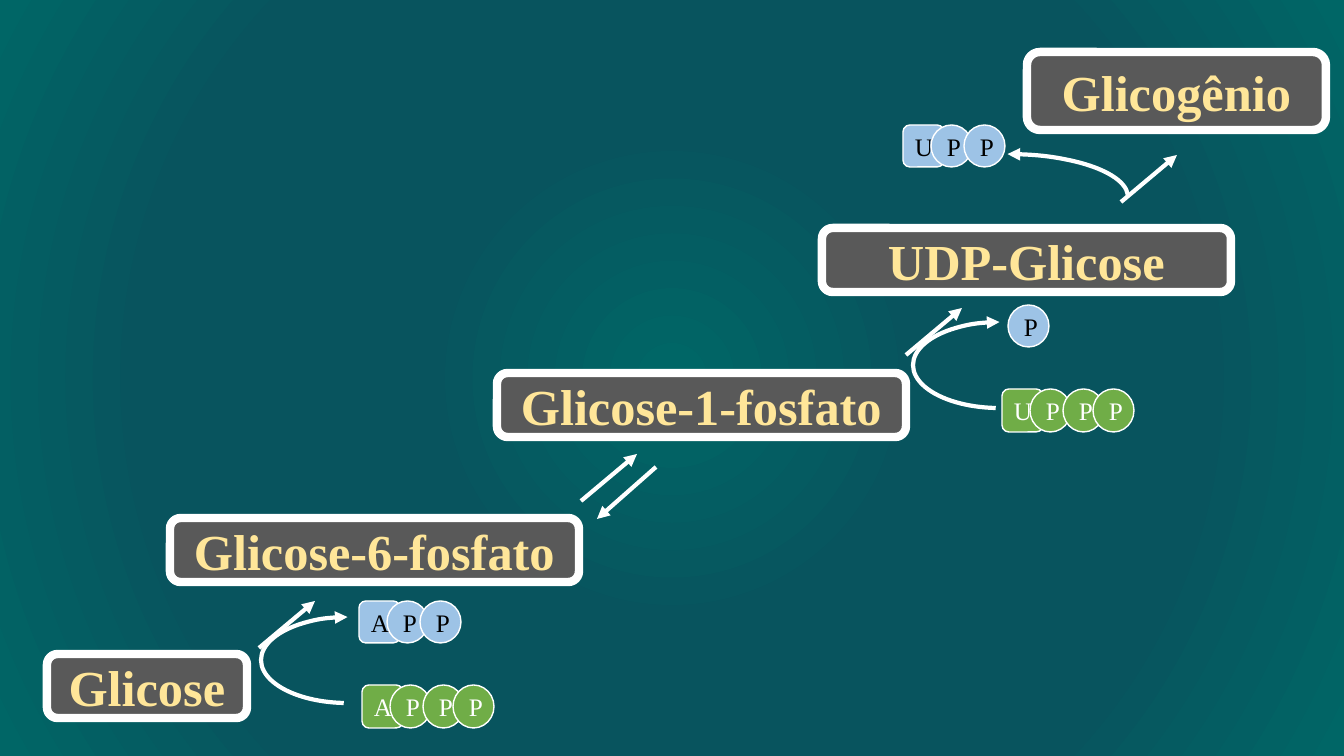
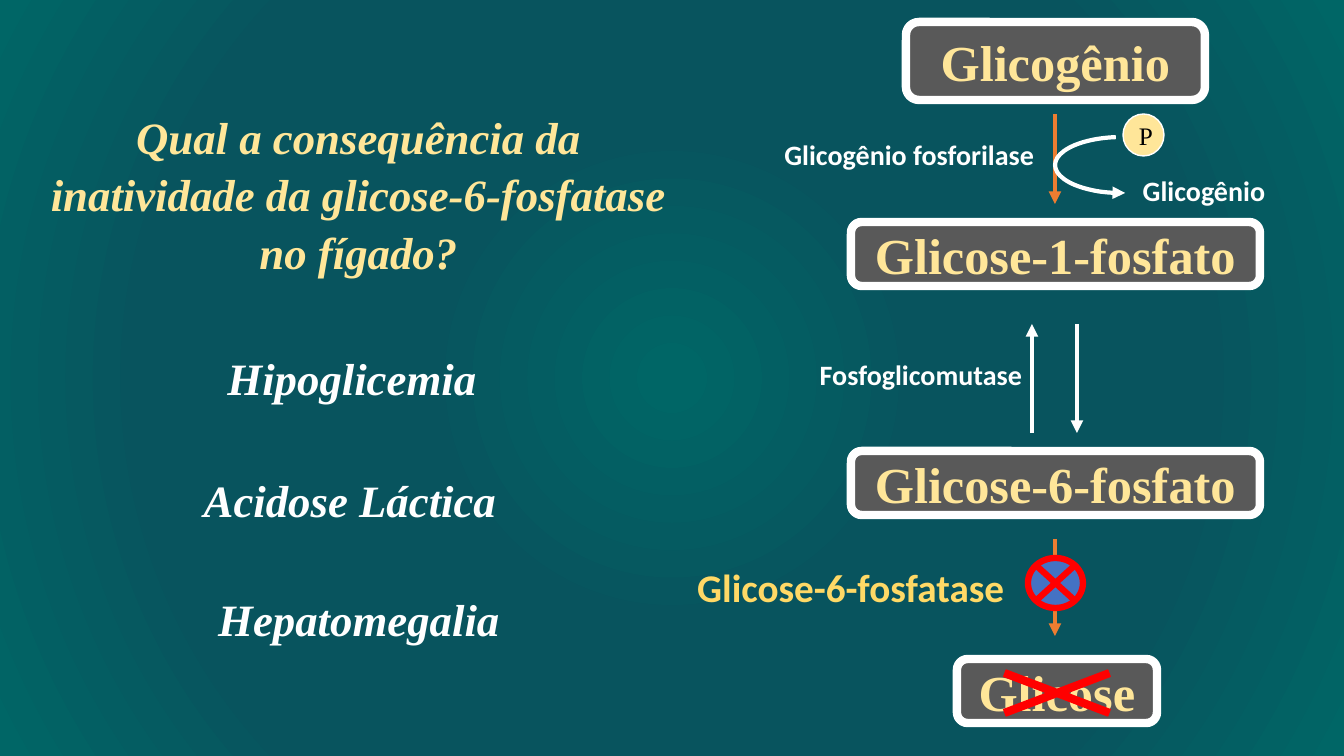
"""Build two slides on how glycogen is made and broken down."""
from dataclasses import dataclass

from lxml import etree
from pptx import Presentation
from pptx.dml.color import RGBColor
from pptx.enum.shapes import MSO_CONNECTOR, MSO_SHAPE
from pptx.enum.text import MSO_ANCHOR, MSO_AUTO_SIZE, PP_ALIGN
from pptx.oxml.ns import qn
from pptx.util import Emu, Pt

ROUND, OVAL, ARC = MSO_SHAPE.ROUNDED_RECTANGLE, MSO_SHAPE.OVAL, MSO_SHAPE.ARC
CROSS, BLOCK = MSO_SHAPE.MATH_MULTIPLY, MSO_SHAPE.FLOWCHART_SUMMING_JUNCTION
STRAIGHT = MSO_CONNECTOR.STRAIGHT
MIDDLE, GROW = MSO_ANCHOR.MIDDLE, MSO_AUTO_SIZE.SHAPE_TO_FIT_TEXT
CENTER, RIGHT = PP_ALIGN.CENTER, PP_ALIGN.RIGHT

SCALE = 12192000 / 1344
SERIF, SANS = "Times New Roman", "Calibri"
COLORS = {
    "teal": "006666", "deep": "08545E", "gray": "595959", "white": "FFFFFF",
    "black": "000000", "cream": "FFE699", "gold": "FFD966", "green": "70AD47",
    "sky": "9DC3E6", "orange": "ED7D31", "blue": "4472C4", "red": "FF0000",
}
STOPS = ((1, "teal"), (33, "deep"), (68, "deep"), (100, "teal"))
STEPS = (0, 28, 61, 91)


@dataclass(frozen=True)
class Rect:
    """A place in pixels."""
    x: int
    y: int
    w: int
    h: int


@dataclass(frozen=True)
class Style:
    """A text style."""
    size: int
    color: str
    face: str = SERIF
    bold: bool = True
    slant: bool = False


@dataclass(frozen=True)
class Sugar:
    """A framed name of a compound."""
    text: str
    x: int
    y: int
    w: int = 409
    h: int = 64


@dataclass(frozen=True)
class Chain:
    """Overlapping tokens, one for each letter."""
    text: str
    x: int
    y: int
    fill: str = "sky"
    ink: str = "black"
    h: int = 42


@dataclass(frozen=True)
class Arrow:
    """A straight arrow with its end relative to its start."""
    x: int
    y: int
    dx: int
    dy: int
    color: str = "white"


@dataclass(frozen=True)
class Curve:
    """A curved arrow."""
    rect: Rect
    start: float
    end: float
    flips: tuple = ()


@dataclass(frozen=True)
class Label:
    """A free text."""
    text: str
    rect: Rect
    style: Style
    align: PP_ALIGN = RIGHT
    loose: bool = False


NAME = Style(36, "cream")
NOTE = Style(20, "white", SANS)
ASK = Style(32, "cream", slant=True)
REPLY = Style(32, "white", slant=True)

MAKE = (
    Sugar("Glicose", 47, 654, 200),
    Sugar("Glicose-6-fosfato", 170, 518),
    Sugar("Glicose-1-fosfato", 497, 373),
    Sugar("UDP-Glicose", 822, 228),
    Sugar("Glicogênio", 1027, 52, 299, 78),
    *(Arrow(x, y, 56, -47) for x, y in
      ((259, 648), (581, 501), (906, 355), (1121, 202))),
    Arrow(656, 467, -59, 52),
    Chain("APPP", 362, 685, "green", "white", 43),
    Chain("APP", 359, 601),
    Curve(Rect(261, 617, 173, 86), 162, 50.98, ("flipV",)),
    Chain("UPPP", 1002, 389, "green", "white", 43),
    Chain("P", 1008, 305),
    Curve(Rect(913, 322, 173, 86), 162, 50.98, ("flipV",)),
    Chain("UPP", 903, 125),
    Curve(Rect(887, 154, 241, 86), 162, 215.43, ("flipH", "flipV")),
)
BREAK = (
    Sugar("Glicose", 957, 659, 200),
    Sugar("Glicose-6-fosfato", 851, 451),
    Sugar("Glicose-1-fosfato", 851, 222),
    Sugar("Glicogênio", 906, 22, 299, 78),
    Arrow(1032, 433, 0, -109),
    Arrow(1077, 324, 0, 109),
    Arrow(1055, 114, 0, 90, "orange"),
    Arrow(1055, 539, 0, 97, "orange"),
    Chain("P", 1123, 114, "cream"),
    Curve(Rect(1055, 137, 133, 56), 157.6, 47.06),
    Label("Glicogênio", Rect(1111, 169, 186, 44), NOTE, CENTER),
    Label("Glicogênio fosforilase", Rect(658, 133, 386, 44), NOTE),
    Label("Fosfoglicomutase", Rect(704, 353, 328, 44), NOTE),
    Label("Glicose-6-fosfatase", Rect(628, 558, 386, 57),
          Style(28, "gold", SANS)),
    Label("Qual a consequência da inatividade da glicose-6-fosfatase "
          "no fígado?", Rect(27, 101, 663, 181), ASK, CENTER, True),
    *(Label(text, Rect(x, y, 398, 66), REPLY, CENTER, True) for text, x, y in
      (("Hipoglicemia", 153, 342), ("Acidose Láctica", 151, 464),
       ("Hepatomegalia", 160, 583))),
)


def px(count: float) -> Emu:
    """Turn pixels into EMU."""
    return Emu(round(count * SCALE))


def rgb(name: str) -> RGBColor:
    """Look up a colour."""
    return RGBColor.from_string(COLORS[name])


def edges(rect: Rect) -> tuple:
    """Give a place in EMU."""
    return px(rect.x), px(rect.y), px(rect.w), px(rect.h)


def write(shape, text: str, style: Style, align=CENTER):
    """Put one styled paragraph into a shape."""
    frame = shape.text_frame
    frame.word_wrap = True
    para = frame.paragraphs[0]
    para.text = text
    para.alignment = align
    font = para.font
    font.size, font.name = Pt(style.size), style.face
    font.bold, font.italic = style.bold, style.slant
    font.color.rgb = rgb(style.color)
    return para


def stroke(shape, color: str, width: float) -> None:
    """Set the outline of a shape."""
    shape.line.color.rgb = rgb(color)
    shape.line.width = Pt(width)


def tip(shape, end: str) -> None:
    """Add a triangle to one end of a line."""
    line = shape.element.find(".//" + qn("a:ln"))
    etree.SubElement(line, qn("a:" + end), type="triangle")


def form(shapes, kind, rect: Rect, fill: str, color: str, width: float):
    """Draw a filled preset shape."""
    shape = shapes.add_shape(kind, *edges(rect))
    shape.shadow.inherit = False
    shape.fill.solid()
    shape.fill.fore_color.rgb = rgb(fill)
    stroke(shape, color, width)
    return shape


def draw_sugar(shapes, item: Sugar) -> None:
    """Draw a framed name."""
    rect = Rect(item.x, item.y, item.w, item.h)
    shape = form(shapes, ROUND, rect, "gray", "white", 6)
    shape.text_frame.vertical_anchor = MIDDLE
    write(shape, item.text, NAME)


def draw_chain(shapes, item: Chain) -> None:
    """Draw a row of tokens, grouped when there are several."""
    home = shapes.add_group_shape().shapes if len(item.text) > 1 else shapes
    for sign, step in zip(item.text, STEPS):
        kind = OVAL if sign == "P" else ROUND
        rect = Rect(item.x + step, item.y, 41, item.h)
        shape = form(home, kind, rect, item.fill, "white", 1)
        shape.text_frame.vertical_anchor = MIDDLE
        write(shape, sign, Style(18, item.ink, bold=False))


def draw_arrow(shapes, item: Arrow) -> None:
    """Draw a straight arrow."""
    line = shapes.add_connector(STRAIGHT, px(item.x), px(item.y),
                                px(item.x + item.dx), px(item.y + item.dy))
    stroke(line, item.color, 3)
    tip(line, "tailEnd")
    etree.SubElement(line.element.spPr, qn("a:effectLst"))


def draw_curve(shapes, item: Curve) -> None:
    """Draw a curved arrow."""
    shape = shapes.add_shape(ARC, *edges(item.rect))
    shape.shadow.inherit = False
    shape.fill.background()
    shape.adjustments[0], shape.adjustments[1] = item.start, item.end
    shape.rotation = 180
    for flip in item.flips:
        shape.element.spPr.find(qn("a:xfrm")).set(flip, "1")
    stroke(shape, "white", 3)
    tip(shape, "headEnd")


def draw_label(shapes, item: Label) -> None:
    """Draw a free text."""
    box = shapes.add_textbox(*edges(item.rect))
    para = write(box, item.text, item.style, item.align)
    box.text_frame.auto_size = GROW
    if item.loose:
        para.line_spacing = 1.07
        para.space_after = Pt(8)


def paint(master) -> None:
    """Give every slide the round teal gradient."""
    master.background.fill.gradient()
    grad = master.element.find(".//" + qn("a:gradFill"))
    grad.clear()
    stops = etree.SubElement(grad, qn("a:gsLst"))
    for place, name in STOPS:
        stop = etree.SubElement(stops, qn("a:gs"), pos=str(place * 1000))
        etree.SubElement(stop, qn("a:srgbClr"), val=COLORS[name])
    glow = etree.SubElement(grad, qn("a:path"), path="circle")
    etree.SubElement(glow, qn("a:fillToRect"), dict.fromkeys("ltrb", "50000"))


DRAW = {Sugar: draw_sugar, Chain: draw_chain, Arrow: draw_arrow,
        Curve: draw_curve, Label: draw_label}


def build(deck, items: tuple):
    """Add a slide with its items and return its shapes."""
    shapes = deck.slides.add_slide(deck.slide_layouts[6]).shapes
    for item in items:
        DRAW[type(item)](shapes, item)
    return shapes


def main() -> None:
    """Make and save the deck."""
    deck = Presentation()
    deck.slide_width, deck.slide_height = px(1344), px(756)
    paint(deck.slide_master)
    build(deck, MAKE)
    shapes = build(deck, BREAK)
    form(shapes, BLOCK, Rect(1028, 558, 55, 50), "blue", "red", 4.5)
    cross = form(shapes, CROSS, Rect(957, 655, 200, 76), "red", "red", 1)
    cross.adjustments[0] = 0.09
    deck.save("out.pptx")


main()
